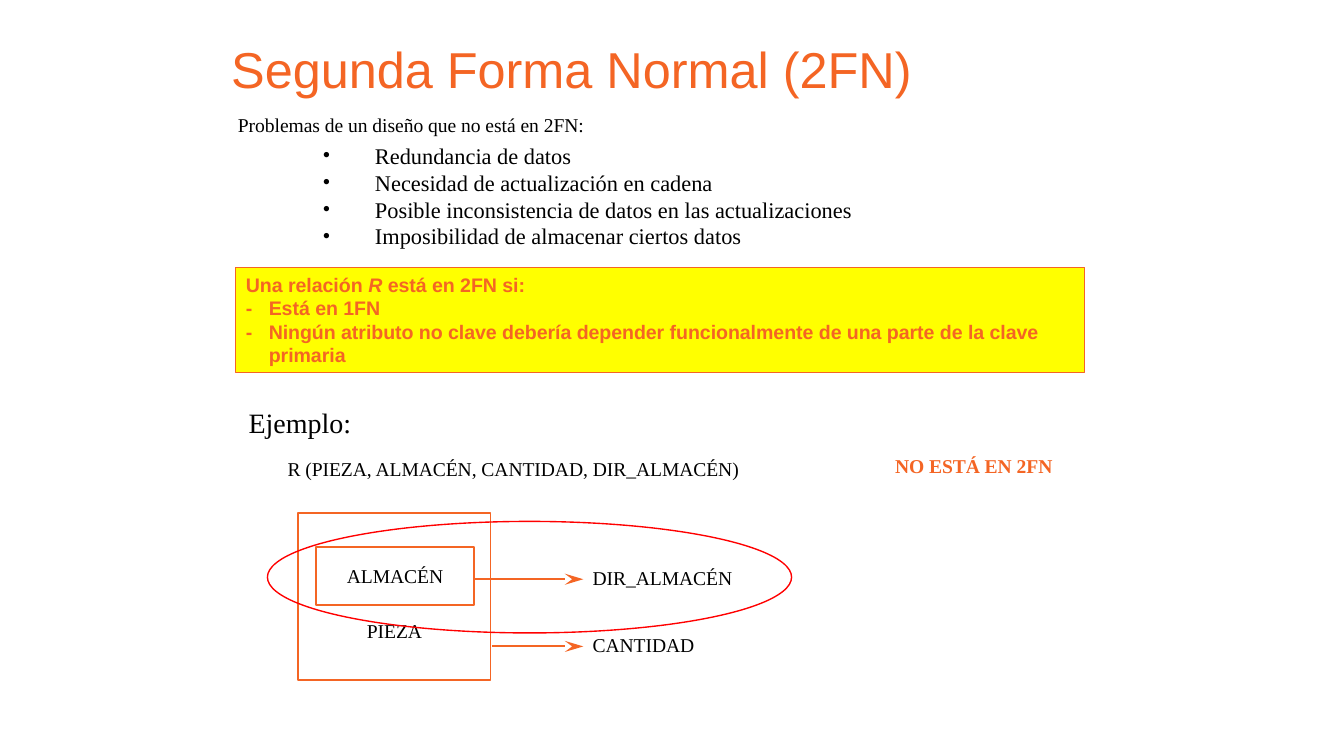
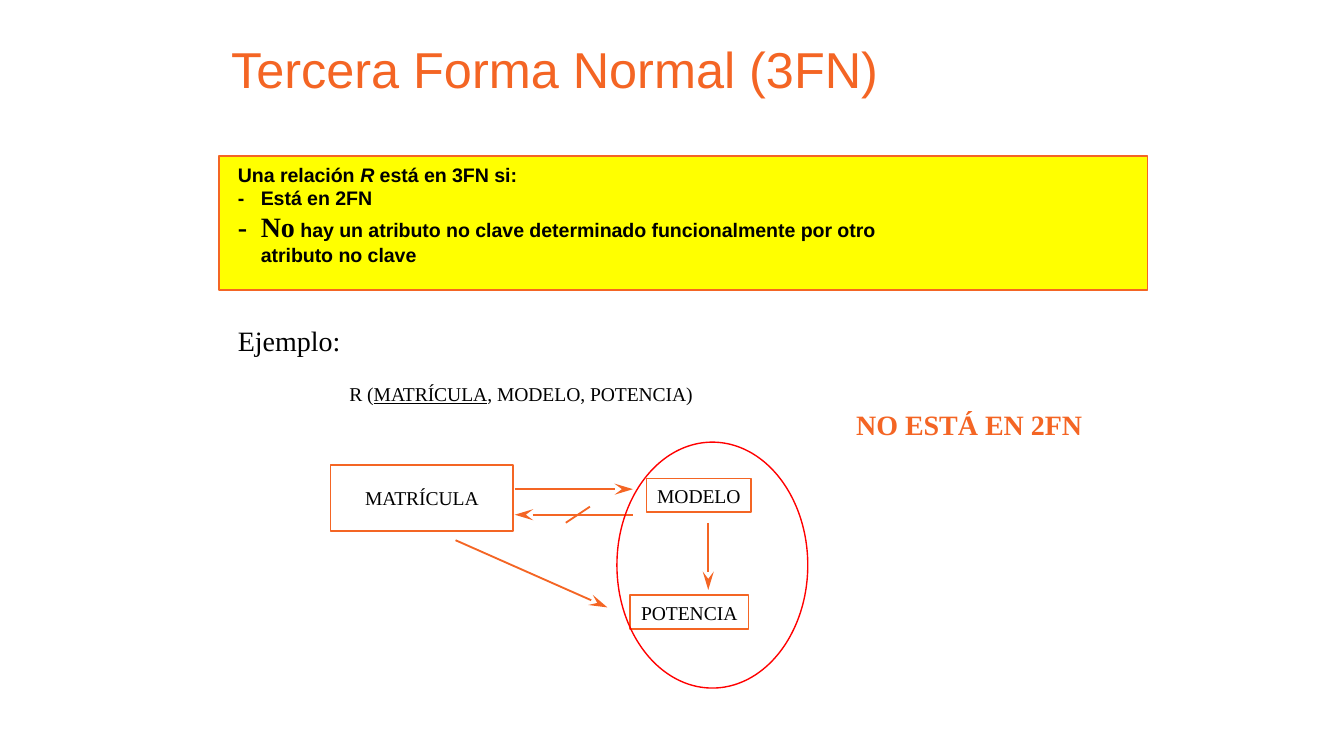
from dataclasses import dataclass
from lxml.etree import SubElement
from pptx import Presentation
from pptx.dml.color import RGBColor
from pptx.enum.shapes import MSO_CONNECTOR, MSO_SHAPE
from pptx.enum.text import MSO_ANCHOR, PP_ALIGN
from pptx.oxml.ns import qn
from pptx.util import Inches, Pt


@dataclass(frozen=True)
class Theme:
    accent: RGBColor = RGBColor(0xF4, 0x65, 0x24)
    highlight: RGBColor = RGBColor(0xFF, 0xFF, 0x00)
    ring: RGBColor = RGBColor(0xFF, 0x00, 0x00)
    ink: RGBColor = RGBColor(0x00, 0x00, 0x00)
    sans: str = "Arial"
    serif: str = "Times New Roman"
    title: float = 27
    large: float = 15
    item: float = 12
    body: float = 10.5
    thin: float = 0.75
    line: float = 1


theme = Theme()
RECT, OVAL = MSO_SHAPE.RECTANGLE, MSO_SHAPE.OVAL
TIGHT = (0.08, 0.04, 0.02, 0.04)
EVEN = (0.08, 0.04, 0.08, 0.04)


def add_box(slide, at, paragraphs=(), outline=None, fill=None, color=theme.ink, width=theme.line,
            insets=TIGHT, align=PP_ALIGN.LEFT, anchor=MSO_ANCHOR.TOP, hanging=None, bullet=None, **font):
    """Add a text box or outlined shape; paragraphs are lists of (text, font changes).

    hanging is (left margin, hang) and, like bullet, applies to every paragraph after the first.
    """
    area = [Inches(value) for value in at]
    if outline is None:
        box = slide.shapes.add_textbox(*area)
    else:
        box = slide.shapes.add_shape(outline, *area)
        box.shadow.inherit = False
        box.line.color.rgb = theme.ring if outline == OVAL else theme.accent
        box.line.width = Pt(width)
        if fill is None:
            box.fill.background()
        else:
            box.fill.solid()
            box.fill.fore_color.rgb = fill
    frame = box.text_frame
    frame.word_wrap = True
    frame.vertical_anchor = anchor
    frame.margin_left, frame.margin_top, frame.margin_right, frame.margin_bottom = map(Inches, insets)
    for index, parts in enumerate(paragraphs):
        paragraph = frame.add_paragraph() if index else frame.paragraphs[0]
        paragraph.alignment = align
        for text, changes in parts:
            run = paragraph.add_run()
            run.text = text
            style = {"name": theme.serif, "size": theme.body, **font, **changes}
            style["size"] = Pt(style["size"])
            for key, value in style.items():
                setattr(run.font, key, value)
            run.font.color.rgb = color
        if hanging and index:
            properties = paragraph._p.get_or_add_pPr()
            properties.set("marL", str(Inches(hanging[0])))
            properties.set("indent", str(-Inches(hanging[1])))
            if bullet:
                SubElement(properties, qn("a:buFont")).set("typeface", theme.serif)
                SubElement(properties, qn("a:buChar")).set("char", bullet)
    return box


def add_link(slide, start, end, arrow="a:tailEnd"):
    link = slide.shapes.add_connector(MSO_CONNECTOR.STRAIGHT, *map(Inches, start + end))
    link.line.color.rgb = theme.accent
    link.line.width = Pt(theme.line)
    if arrow:
        head = SubElement(link.line._get_or_add_ln(), qn(arrow))
        head.set("type", "stealth")
        head.set("len", "lg")
    SubElement(link._element.spPr, qn("a:effectLst"))


prs = Presentation()
prs.slide_width = Inches(10)
prs.slide_height = prs.slide_width * 9 // 16

# Titles, example headings and verdicts
slides = []
for heading, example_at, verdict_at, verdict_size in [
    ("Segunda Forma Normal (2FN)", (1.77, 2.98), (6.58, 3.34), theme.body),
    ("Tercera Forma Normal (3FN)", (1.69, 2.37), (6.29, 2.99), theme.large),
]:
    slide = prs.slides.add_slide(prs.slide_layouts[5])
    title = slide.shapes.title
    title.left, title.top, title.width, title.height = map(Inches, (1.62, 0.04, 6.75, 0.94))
    title.text_frame.text = heading
    title.text_frame.vertical_anchor = MSO_ANCHOR.MIDDLE
    paragraph = title.text_frame.paragraphs[0]
    paragraph.alignment = PP_ALIGN.LEFT
    font = paragraph.runs[0].font
    font.name, font.size = theme.sans, Pt(theme.title)
    font.color.rgb = theme.accent
    add_box(slide, example_at + (1.5, 0.32), [[("Ejemplo:", {})]], size=theme.large)
    add_box(slide, verdict_at + (1.9, 0.32), [[("NO ESTÁ EN 2FN", {})]],
            color=theme.accent, size=verdict_size, bold=True)
    slides.append(slide)
second_form, third_form = slides

# Second normal form: problems and definition
problems = ["Redundancia de datos", "Necesidad de actualización en cadena",
            "Posible inconsistencia de datos en las actualizaciones",
            "Imposibilidad de almacenar ciertos datos"]
problem_list = add_box(
    second_form, (1.69, 0.8, 5.91, 1.1),
    [[("Problemas de un diseño que no está en 2FN:", {})]]
    + [[(problem, {"size": theme.item})] for problem in problems],
    hanging=(1.02, 0.39), bullet="•")
problem_list.text_frame.paragraphs[0].space_after = Pt(3)

add_box(second_form, (1.75, 1.99, 6.32, 0.78),
        [[("Una relación ", {}), ("R", {"italic": True}), (" está en 2FN si:", {})],
         [("-\tEstá en 1FN", {})],
         [("-\tNingún atributo no clave debería depender funcionalmente "
           "de una parte de la clave primaria", {})]],
        outline=RECT, fill=theme.highlight, color=theme.accent, width=theme.thin,
        hanging=(0.17, 0.17), name=theme.sans, bold=True)

# Second normal form: dependencies
add_box(second_form, (2.06, 3.36, 4.2, 0.25), [[("R (PIEZA, ALMACÉN, CANTIDAD, DIR_ALMACÉN)", {})]])
add_box(second_form, (2.22, 3.82, 1.43, 1.24), [[("PIEZA", {})]], outline=RECT,
        insets=(0.08, 0.04, 0.08, 0.28), align=PP_ALIGN.CENTER, anchor=MSO_ANCHOR.BOTTOM)
add_box(second_form, (2.35, 4.07, 1.18, 0.43), [[("ALMACÉN", {})]], outline=RECT,
        insets=EVEN, align=PP_ALIGN.CENTER, anchor=MSO_ANCHOR.MIDDLE)
for dependent, start, y in [("DIR_ALMACÉN", 3.53, 4.31), ("CANTIDAD", 3.66, 4.81)]:
    add_link(second_form, (start, y), (4.34, y))
    add_box(second_form, (4.33, y - 0.14, 1.21, 0.25), [[(dependent, {})]])
add_box(second_form, (1.99, 3.88, 3.9, 0.83), outline=OVAL, width=theme.thin)

# Third normal form: definition
add_box(third_form, (1.63, 1.16, 6.91, 1),
        [[("Una relación ", {}), ("R", {"italic": True}), (" está en 3FN si:", {})],
         [("-\tEstá en 2FN", {})],
         [("-\tNo", {"name": theme.serif, "size": theme.large}),
          (" hay un atributo no clave determinado funcionalmente por otro atributo no clave", {})]],
        outline=RECT, fill=theme.highlight, width=theme.thin, insets=(0.14, 0.05, 1.5, 0.04),
        hanging=(0.17, 0.17), name=theme.sans, bold=True)

# Third normal form: dependencies
add_box(third_form, (2.52, 2.8, 3.6, 0.25),
        [[("R (", {}), ("MATRÍCULA", {"underline": True}), (", MODELO, POTENCIA)", {})]])
add_box(third_form, (2.46, 3.46, 1.36, 0.49), [[("MATRÍCULA", {})]], outline=RECT,
        insets=EVEN, align=PP_ALIGN.CENTER, anchor=MSO_ANCHOR.MIDDLE)
for attribute, at in [("MODELO", (4.81, 3.56, 0.78, 0.25)), ("POTENCIA", (4.69, 4.43, 0.88, 0.25))]:
    add_box(third_form, at, [[(attribute, {})]], outline=RECT)
for start, end, arrow in [
    ((3.83, 3.64), (4.71, 3.64), "a:tailEnd"),
    ((3.83, 3.83), (4.71, 3.83), "a:headEnd"),
    ((4.21, 3.89), (4.39, 3.77), None),
    ((3.39, 4.02), (4.52, 4.52), "a:tailEnd"),
    ((5.27, 3.89), (5.27, 4.39), "a:tailEnd"),
]:
    add_link(third_form, start, end, arrow)
add_box(third_form, (4.59, 3.29, 1.42, 1.83), outline=OVAL, width=theme.thin)

prs.save("out.pptx")
